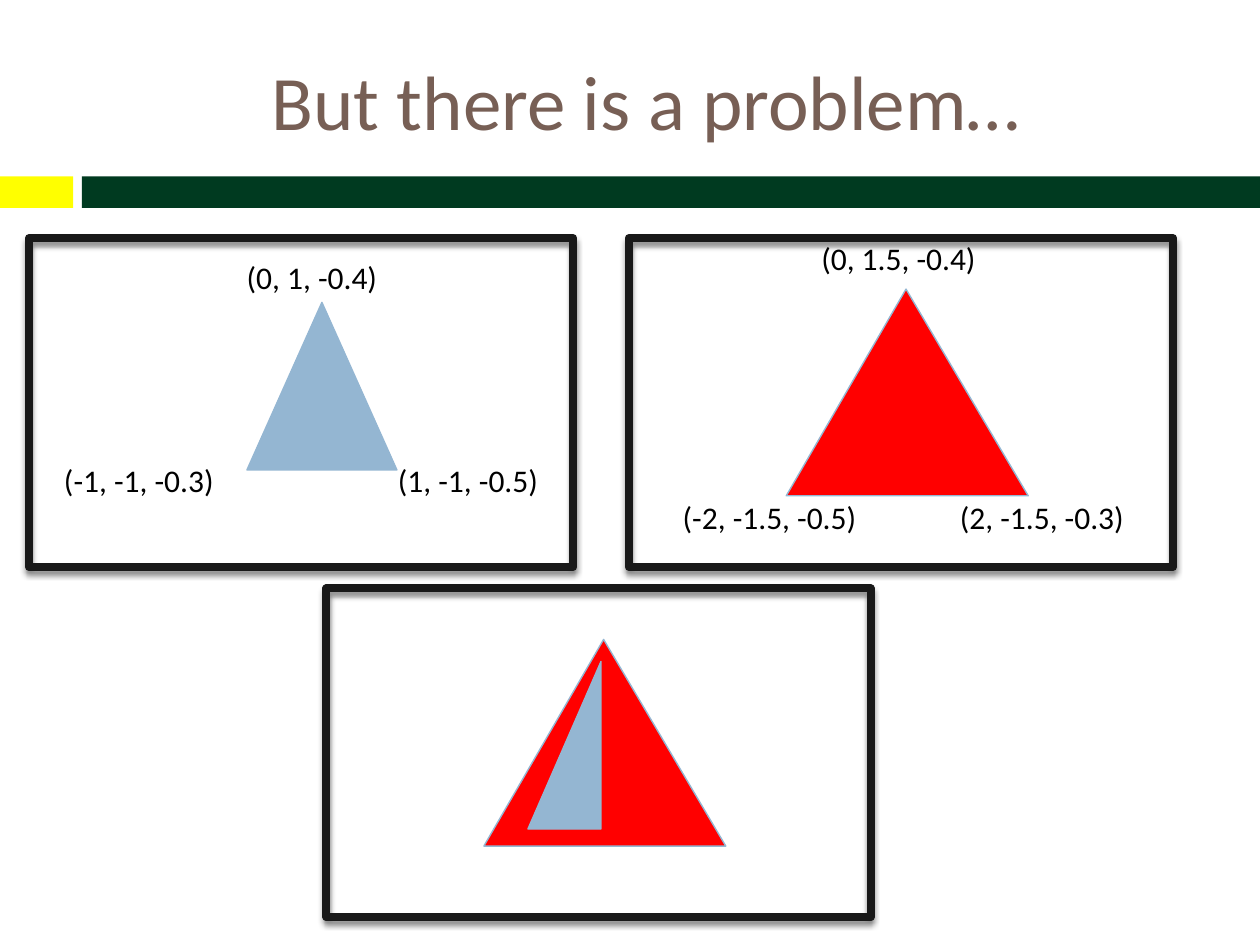
from dataclasses import dataclass

from lxml.etree import SubElement
from pptx import Presentation
from pptx.dml.color import RGBColor
from pptx.enum.shapes import MSO_SHAPE as Shape
from pptx.enum.text import MSO_ANCHOR as Anchor, MSO_AUTO_SIZE as AutoSize, PP_ALIGN as Align
from pptx.oxml.ns import qn
from pptx.util import Inches, Pt


@dataclass(frozen=True)
class Theme:
    font: str = "Calibri"
    title_size: float = 44
    label_size: float = 18
    frame_width: float = 4.5
    edge_width: float = 0.79
    title: str = "775F55"
    text: str = "000000"
    accent: str = "FFFF00"
    band: str = "003A20"
    frame: str = "191919"
    blue: str = "94B6D2"
    red: str = "FF0000"
    shadow: str = "000000"


class SlideBuilder:
    """Draws on one slide; lengths are cells of a grid of 100 columns by 75 rows."""

    COLUMNS, ROWS = 100, 75

    def __init__(self, deck, theme):
        self.theme = theme
        self.slide = deck.slides.add_slide(deck.slide_layouts[5])
        self.shapes = self.slide.shapes
        self.column = deck.slide_width / self.COLUMNS
        self.row = deck.slide_height / self.ROWS

    def box(self, left, top, width, height):
        return (round(left * self.column), round(top * self.row),
                round(width * self.column), round(height * self.row))

    def start_group(self):
        """Make later shapes join a new group."""
        self.shapes = self.slide.shapes.add_group_shape().shapes

    def style_text(self, paragraph, size, color):
        font = paragraph.runs[0].font
        font.name = self.theme.font
        font.size = Pt(size)
        font.color.rgb = RGBColor.from_string(color)

    def title(self, text, *place):
        title = self.slide.shapes.title
        title.left, title.top, title.width, title.height = self.box(*place)
        frame = title.text_frame
        frame.text = text
        frame.auto_size = AutoSize.NONE
        frame.vertical_anchor = Anchor.MIDDLE
        frame.paragraphs[0].alignment = Align.CENTER
        self.style_text(frame.paragraphs[0], self.theme.title_size, self.theme.title)

    def figure(self, kind, place, fill=None, line=None, width=0):
        figure = self.shapes.add_shape(kind, *self.box(*place))
        figure.shadow.inherit = False
        if fill:
            figure.fill.solid()
            figure.fill.fore_color.rgb = RGBColor.from_string(fill)
        else:
            figure.fill.background()
        if line:
            figure.line.color.rgb = RGBColor.from_string(line)
            figure.line.width = Pt(width)
        else:
            figure.line.fill.background()
        return figure

    def screen(self, left, top):
        frame = self.figure(Shape.RECTANGLE, (left, top, 43.2, 26.1),
                            line=self.theme.frame, width=self.theme.frame_width)
        effects = frame.element.spPr.find(qn("a:effectLst"))
        shadow = SubElement(effects, qn("a:outerShdw"), blurRad=str(Pt(3)),
                            dist=str(Pt(2.4)), dir="5400000", rotWithShape="0")
        color = SubElement(shadow, qn("a:srgbClr"), val=self.theme.shadow)
        SubElement(color, qn("a:alpha"), val="45000")

    def triangle(self, place, fill, kind=Shape.ISOSCELES_TRIANGLE):
        return self.figure(kind, place, fill, self.theme.blue, self.theme.edge_width)

    def red_triangle(self, screen_left, screen_top):
        place = (screen_left + 12.5, screen_top + 4.05, 19.2, 16.4)
        self.triangle(place, self.theme.red).adjustments[0] = 0.495

    def half_triangle(self, *place):
        half = self.triangle(place, self.theme.blue, Shape.RIGHT_TRIANGLE)
        half.element.spPr.find(qn("a:xfrm")).set("flipH", "1")

    def label(self, text, left, top, width):
        label = self.shapes.add_textbox(*self.box(left, top, width, 4))
        frame = label.text_frame
        frame.text = text
        frame.word_wrap = False
        frame.auto_size = AutoSize.SHAPE_TO_FIT_TEXT
        self.style_text(frame.paragraphs[0], self.theme.label_size, self.theme.text)


def main():
    deck = Presentation()
    deck.slide_width, deck.slide_height = Inches(10), Inches(7.5)
    theme = Theme()
    page = SlideBuilder(deck, theme)

    page.figure(Shape.RECTANGLE, (0, 14, 5.8, 2.5), theme.accent)
    page.figure(Shape.RECTANGLE, (6.5, 14, 93.5, 2.5), theme.band)
    page.title("But there is a problem…", 6.7, 2.5, 89.2, 10.8)

    first, second, combined = (2.3, 18.9), (49.9, 18.9), (25.9, 46.7)
    page.screen(*first)
    page.triangle((19.6, 24, 11.9, 13.3), theme.blue)
    page.screen(*second)
    page.red_triangle(*second)

    vertices = [
        ("(0, 1, -0.4)", 18.6, 20, 13.7),
        ("(-1, -1, -0.3)", 4.1, 36.1, 15.3),
        ("(1, -1, -0.5)", 30.6, 36.1, 14.5),
        ("(0, 1.5, -0.4)", 64.2, 18.5, 15.8),
        ("(-2, -1.5, -0.5)", 53.2, 39, 17.5),
        ("(2, -1.5, -0.3)", 75.2, 39, 16.6),
    ]
    for vertex in vertices:
        page.label(*vertex)

    page.start_group()
    page.screen(*combined)
    page.red_triangle(*combined)
    page.half_triangle(41.9, 52.5, 5.8, 13.3)

    deck.save("out.pptx")


if __name__ == "__main__":
    main()
